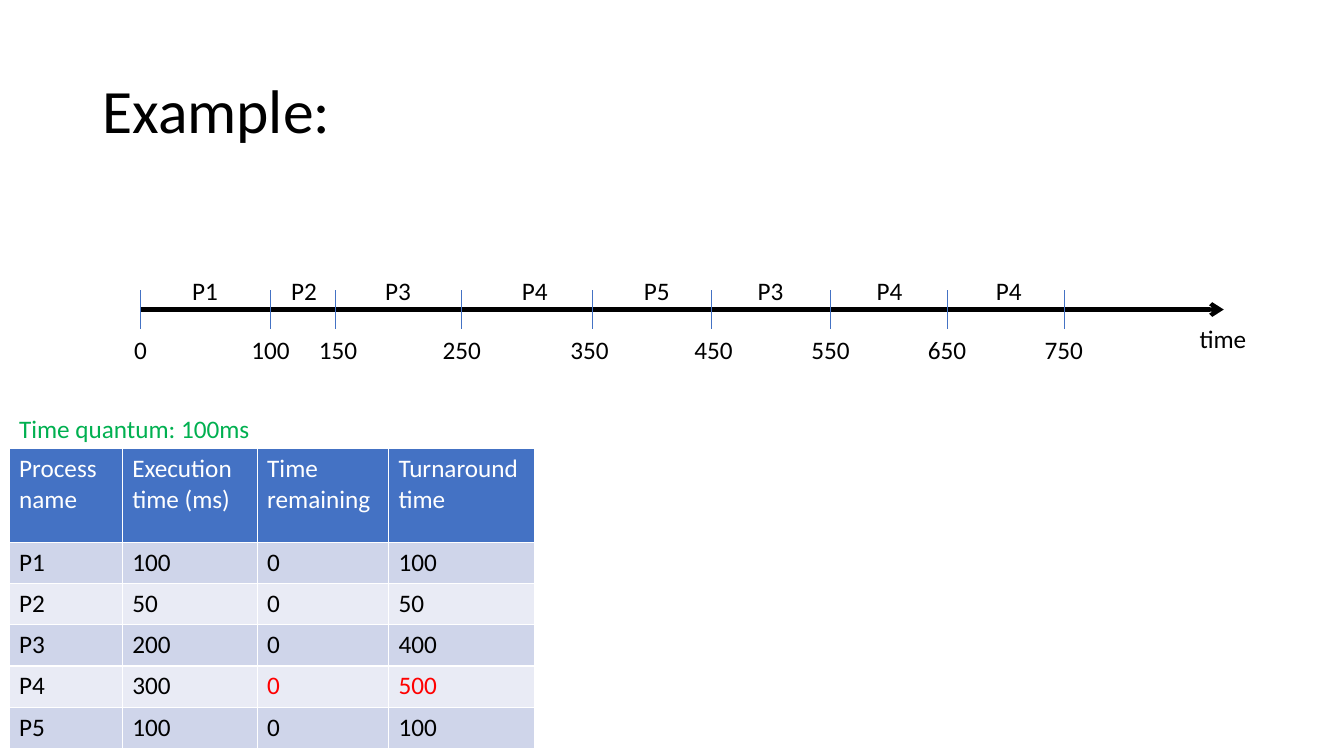
from dataclasses import dataclass

from lxml.etree import SubElement
from pptx import Presentation
from pptx.dml.color import RGBColor
from pptx.enum.shapes import MSO_CONNECTOR
from pptx.enum.text import MSO_ANCHOR, PP_ALIGN
from pptx.oxml.ns import qn
from pptx.shapes.connector import Connector
from pptx.slide import Slide
from pptx.table import _Cell
from pptx.text.text import _Paragraph
from pptx.util import Cm, Pt

FONT = "Calibri"
COLORS = {
    "text": "000000",
    "accent": "4472C4",
    "quantum": "00B050",
    "changed": "FF0000",
    "white": "FFFFFF",
    "odd_row": "CFD5EA",
    "even_row": "E9EBF5",
}

AXIS_Y, AXIS_END = 7.8, 30.84
TICK_TOP, TICK_BOTTOM = 7.32, 8.3
PROCESS_TOP, TIME_TOP = 6.81, 8.3
LABEL_WIDTH, LABEL_HEIGHT = 2, 1.02

TABLE_LEFT, TABLE_TOP = 0.23, 11.3
COLUMN_WIDTHS = (2.85, 3.4, 3.31, 3.68)
HEADER_HEIGHT, ROW_HEIGHT = 2.36, 1.04
HEADERS = ("Process name", "Execution time (ms)", "Time remaining", "Turnaround time")
PROCESSES = (
    ("P1", "100", "0", "100"),
    ("P2", "50", "0", "50"),
    ("P3", "200", "0", "400"),
    ("P4", "300", "0", "500"),
    ("P5", "100", "0", "100"),
)
CHANGED_CELLS = {(4, 2), (4, 3)}


@dataclass(frozen=True)
class Tick:
    """A moment on the time axis and the centre of its label."""

    time: str
    x: float
    label_x: float


@dataclass(frozen=True)
class Turn:
    """A process label above the axis."""

    process: str
    label_x: float


TICKS = (
    Tick("0", 3.53, 3.54),
    Tick("100", 6.81, 6.82),
    Tick("150", 8.46, 8.52),
    Tick("250", 11.63, 11.64),
    Tick("350", 14.94, 14.86),
    Tick("450", 17.93, 17.98),
    Tick("550", 20.93, 20.93),
    Tick("650", 23.88, 23.87),
    Tick("750", 26.82, 26.81),
)
TURNS = (
    Turn("P1", 5.17),
    Turn("P2", 7.66),
    Turn("P3", 10.03),
    Turn("P4", 13.48),
    Turn("P5", 16.55),
    Turn("P3", 19.42),
    Turn("P4", 22.42),
    Turn("P4", 25.42),
)


def format_runs(paragraph: _Paragraph, color: str, size: float = 18) -> None:
    """Apply the slide font, a size and a colour to every run."""
    for run in paragraph.runs:
        run.font.name = FONT
        run.font.size = Pt(size)
        run.font.bold = False
        run.font.color.rgb = RGBColor.from_string(COLORS[color])


def add_text(slide: Slide, text: str, left: float, top: float, width: float,
             color: str = "text", align: PP_ALIGN = PP_ALIGN.LEFT) -> None:
    """Add a one-line text box."""
    shape = slide.shapes.add_textbox(Cm(left), Cm(top), Cm(width), Cm(LABEL_HEIGHT))
    shape.text_frame.text = text
    shape.text_frame.word_wrap = False
    paragraph = shape.text_frame.paragraphs[0]
    paragraph.alignment = align
    format_runs(paragraph, color)


def add_label(slide: Slide, text: str, center: float, top: float) -> None:
    """Add a label centred on a horizontal position."""
    add_text(slide, text, center - LABEL_WIDTH / 2, top, LABEL_WIDTH,
             align=PP_ALIGN.CENTER)


def add_title(slide: Slide, text: str) -> None:
    """Add the large slide heading."""
    shape = slide.shapes.add_textbox(Cm(2.33), Cm(1.01), Cm(29.21), Cm(3.68))
    shape.text_frame.text = text
    shape.text_frame.word_wrap = True
    shape.text_frame.vertical_anchor = MSO_ANCHOR.MIDDLE
    paragraph = shape.text_frame.paragraphs[0]
    paragraph.line_spacing = 0.9
    format_runs(paragraph, "text", 44)


def add_line(slide: Slide, start: tuple[float, float], end: tuple[float, float],
             color: str, width: float) -> Connector:
    """Add a straight line without a shadow."""
    connector = slide.shapes.add_connector(
        MSO_CONNECTOR.STRAIGHT, Cm(start[0]), Cm(start[1]), Cm(end[0]), Cm(end[1]))
    connector.line.color.rgb = RGBColor.from_string(COLORS[color])
    connector.line.width = Pt(width)
    SubElement(connector._element.spPr, qn("a:effectLst"))
    return connector


def add_timeline(slide: Slide) -> None:
    """Draw the time axis with its ticks and labels."""
    axis = add_line(slide, (TICKS[0].x, AXIS_Y), (AXIS_END, AXIS_Y), "text", 3)
    SubElement(axis.line._get_or_add_ln(), qn("a:tailEnd"), type="arrow")
    for tick in TICKS:
        add_line(slide, (tick.x, TICK_TOP), (tick.x, TICK_BOTTOM), "accent", 0.5)
        add_label(slide, tick.time, tick.label_x, TIME_TOP)
    for turn in TURNS:
        add_label(slide, turn.process, turn.label_x, PROCESS_TOP)
    add_label(slide, "time", 30.82, 8.03)


def set_borders(cell: _Cell) -> None:
    """Give a cell thin white borders, placed before its fill."""
    properties = cell._tc.get_or_add_tcPr()
    for position, side in enumerate(("a:lnL", "a:lnR", "a:lnT", "a:lnB")):
        border = SubElement(properties, qn(side), w=str(Pt(1)))
        fill = SubElement(border, qn("a:solidFill"))
        SubElement(fill, qn("a:srgbClr"), val=COLORS["white"])
        properties.insert(position, border)


def add_process_table(slide: Slide) -> None:
    """Add the table of process times."""
    rows = (HEADERS, *PROCESSES)
    table_height = HEADER_HEIGHT + ROW_HEIGHT * len(PROCESSES)
    table = slide.shapes.add_table(
        len(rows), len(HEADERS), Cm(TABLE_LEFT), Cm(TABLE_TOP),
        Cm(sum(COLUMN_WIDTHS)), Cm(table_height)).table
    for column, width in zip(table.columns, COLUMN_WIDTHS):
        column.width = Cm(width)
    for row_index, values in enumerate(rows):
        is_header = row_index == 0
        table.rows[row_index].height = Cm(HEADER_HEIGHT if is_header else ROW_HEIGHT)
        band = "odd_row" if row_index % 2 else "even_row"
        for column_index, value in enumerate(values):
            cell = table.cell(row_index, column_index)
            cell.text_frame.text = value
            changed = (row_index, column_index) in CHANGED_CELLS
            color = "white" if is_header else "changed" if changed else "text"
            format_runs(cell.text_frame.paragraphs[0], color)
            cell.fill.solid()
            cell.fill.fore_color.rgb = RGBColor.from_string(
                COLORS["accent" if is_header else band])
            set_borders(cell)


def main() -> None:
    """Build and save the presentation."""
    presentation = Presentation()
    presentation.slide_width, presentation.slide_height = Cm(33.87), Cm(19.05)
    slide = presentation.slides.add_slide(presentation.slide_layouts[6])
    add_title(slide, "Example:")
    add_timeline(slide)
    add_text(slide, "Time quantum: 100ms", 0.23, 10.29, 6.48, "quantum")
    add_process_table(slide)
    presentation.save("out.pptx")


main()
